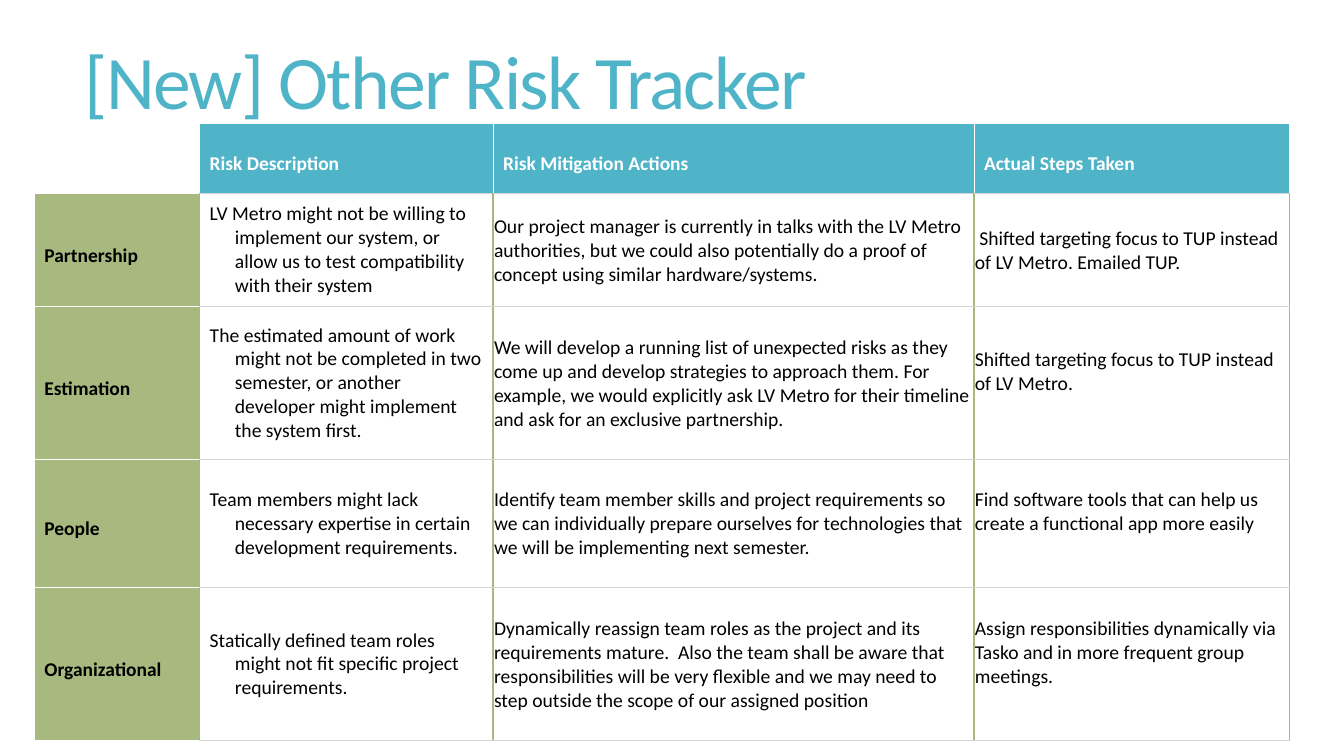
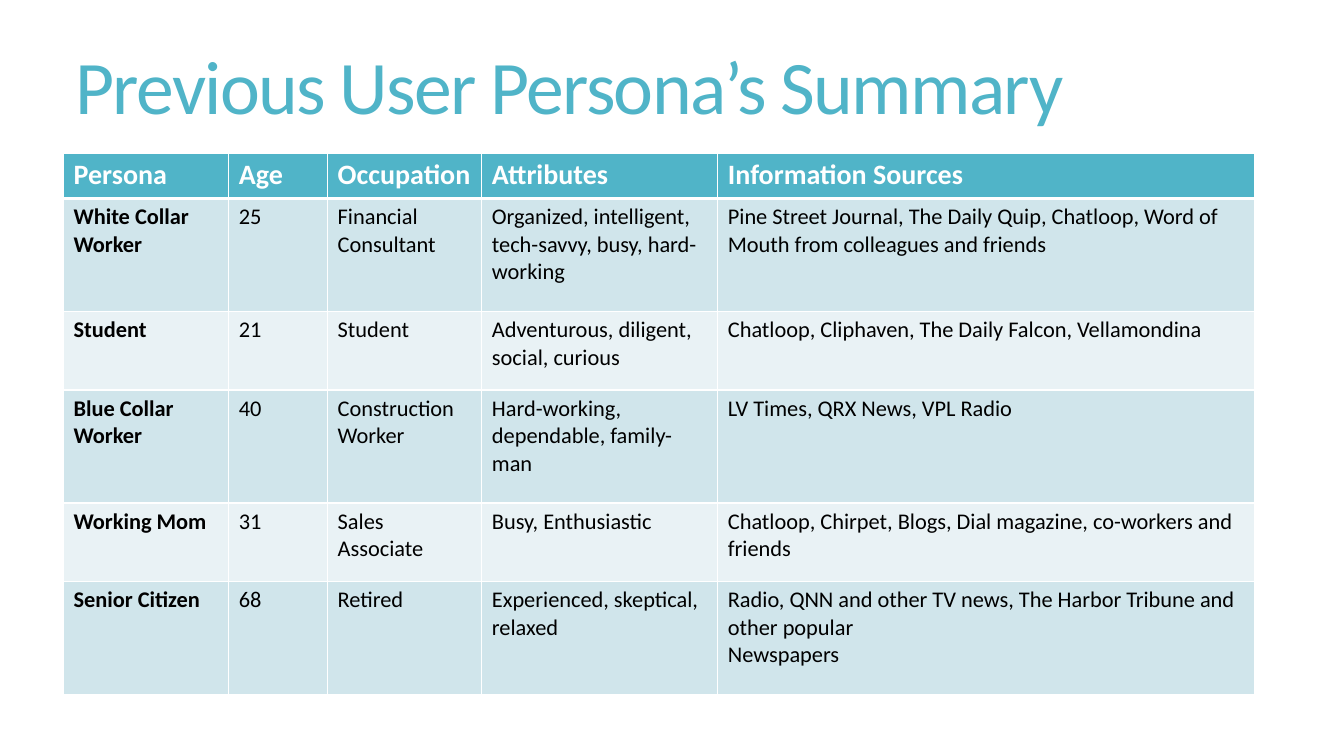
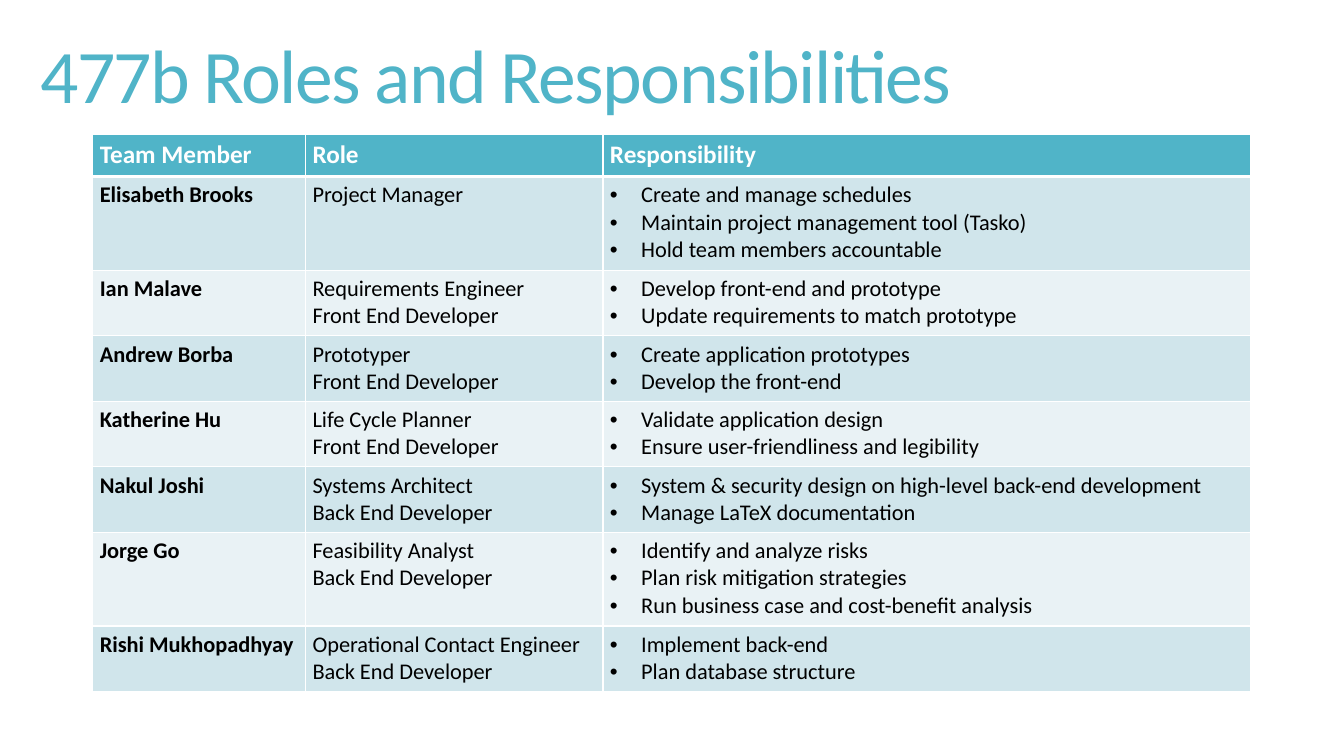
import pptx
import pptx.dml.color
import pptx.enum.text
import pptx.oxml
import pptx.oxml.ns
import pptx.util
from pptx.util import Inches

COLORS = {
    "teal": "50B4C8", "green": "A8B97F", "white": "FFFFFF", "black": "000000",
    "grey": "D4D4D4", "band_dark": "D0E5EB", "band_light": "E9F2F5",
}
FONT = "Calibri"
NAMESPACE = pptx.oxml.ns.nsdecls("a")
MIDDLE = pptx.enum.text.MSO_ANCHOR.MIDDLE
TOP = pptx.enum.text.MSO_ANCHOR.TOP

presentation = pptx.Presentation()
presentation.slide_width = Inches(13.33)
presentation.slide_height = Inches(7.5)


def add_table_slide(title, title_box, table_box, columns, rows):
    """Add a slide with the shared title style and return its empty table."""
    slide = presentation.slides.add_slide(presentation.slide_layouts[5])
    shape = slide.shapes.title
    shape.left, shape.top, shape.width, shape.height = map(Inches, title_box)
    frame = shape.text_frame
    frame.text = title
    frame.vertical_anchor = MIDDLE
    frame.auto_size = pptx.enum.text.MSO_AUTO_SIZE.NONE
    paragraph = frame.paragraphs[0]
    paragraph.alignment = pptx.enum.text.PP_ALIGN.LEFT
    paragraph.line_spacing = 0.85
    paragraph.font.name = FONT
    paragraph.font.size = pptx.util.Pt(54)
    paragraph.font.color.rgb = pptx.dml.color.RGBColor.from_string(COLORS["teal"])
    paragraph.runs[0]._r.get_or_add_rPr().set("spc", "-120")

    left, top = table_box
    table = slide.shapes.add_table(
        len(rows), len(columns), Inches(left), Inches(top),
        Inches(sum(columns)), Inches(sum(rows))).table
    table.first_row = table.horz_banding = False
    for column, width in zip(table.columns, columns):
        column.width = Inches(width)
    for row, height in zip(table.rows, rows):
        row.height = Inches(height)
    return table


def write_cell(cell, text, size, color="black", bold=False, fill=None, anchor=TOP,
               insets=(0.1, 0.05, 0.1, 0.05), borders=None, spacing=None,
               indent=0, bullet=False, lowered=False):
    """Fill one cell; borders maps L, R, T, B to (colour, points), spacing is in percent."""
    cell.text = text
    cell.vertical_anchor = anchor
    cell.margin_left, cell.margin_top, cell.margin_right, cell.margin_bottom = map(Inches, insets)
    for paragraph in cell.text_frame.paragraphs:
        font = paragraph.font
        font.name, font.size, font.bold = FONT, pptx.util.Pt(size), bold
        font.color.rgb = pptx.dml.color.RGBColor.from_string(COLORS[color])
        properties = paragraph._p.get_or_add_pPr()
        defaults = properties.find(pptx.oxml.ns.qn("a:defRPr"))
        if indent:
            properties.set("marL", str(Inches(indent)))
            properties.set("indent", str(-Inches(indent)))
        if spacing:
            for tag, percent in zip(("spcBef", "spcAft"), spacing):
                defaults.addprevious(pptx.oxml.parse_xml(
                    f'<a:{tag} {NAMESPACE}><a:spcPct val="{percent * 1000}"/></a:{tag}>'))
        if bullet:
            for mark in ('buFont {} typeface="Arial"', 'buChar {} char="•"'):
                defaults.addprevious(pptx.oxml.parse_xml(f"<a:{mark.format(NAMESPACE)}/>"))
        if lowered:
            for run in paragraph.runs:
                run._r.get_or_add_rPr().set("baseline", "-3000")
    if fill:
        cell.fill.solid()
        cell.fill.fore_color.rgb = pptx.dml.color.RGBColor.from_string(COLORS[fill])
    else:
        cell.fill.background()
    for position, (side, (line_color, points)) in enumerate((borders or {}).items()):
        cell._tc.get_or_add_tcPr().insert(position, pptx.oxml.parse_xml(
            f'<a:ln{side} {NAMESPACE} w="{pptx.util.Pt(points)}"><a:solidFill>'
            f'<a:srgbClr val="{COLORS[line_color]}"/></a:solidFill></a:ln{side}>'))


# Risk tracker
risk_header = ["Risk Description", "Risk Mitigation Actions", "Actual Steps Taken"]
risks = [
    ("Partnership",
     "LV Metro might not be willing to implement our system, or allow us to test "
     "compatibility with their system",
     "Our project manager is currently in talks with the LV Metro authorities, but we could "
     "also potentially do a proof of concept using similar hardware/systems.",
     " Shifted targeting focus to TUP instead of LV Metro. Emailed TUP."),
    ("Estimation",
     "The estimated amount of work might not be completed in two semester, or another "
     "developer might implement the system first.",
     "We will develop a running list of unexpected risks as they come up and develop "
     "strategies to approach them. For example, we would explicitly ask LV Metro for their "
     "timeline and ask for an exclusive partnership.",
     "Shifted targeting focus to TUP instead of LV Metro."),
    ("People",
     "Team members might lack necessary expertise in certain development requirements.",
     "Identify team member skills and project requirements so we can individually prepare "
     "ourselves for technologies that we will be implementing next semester.",
     "Find software tools that can help us create a functional app more easily"),
    ("Organizational",
     "Statically defined team roles might not fit specific project requirements.",
     "Dynamically reassign team roles as the project and its requirements mature.  Also the "
     "team shall be aware that responsibilities will be very flexible and we may need to step "
     "outside the scope of our assigned position",
     "Assign responsibilities dynamically via Tasko and in more frequent group meetings."),
]
table = add_table_slide("[New] Other Risk Tracker", (0.74, 0.2, 11.78, 1.32), (0.34, 1.22),
                        [1.64, 2.91, 4.77, 3.13], [0.7, 1.12, 1.52, 1.27, 1.52])
white_borders = {side: ("white", 0.5) for side in "LRTB"}
body_borders = {"L": ("green", 1), "R": ("green", 1), "T": ("grey", 0.5), "B": ("grey", 0.5)}
label_style = dict(size=24, bold=True, anchor=MIDDLE, spacing=(60, 40), lowered=True,
                   borders=white_borders)
write_cell(table.cell(0, 0), "", 14, fill="white", borders=white_borders)
for column, heading in enumerate(risk_header, 1):
    write_cell(table.cell(0, column), heading, color="white", fill="teal", **label_style)
for row, (category, description, mitigation, steps) in enumerate(risks, 1):
    write_cell(table.cell(row, 0), category, fill="green", **label_style)
    write_cell(table.cell(row, 1), description, 14, anchor=MIDDLE, indent=0.25,
               spacing=(10, 10), borders=body_borders)
    write_cell(table.cell(row, 2), mitigation, 14, anchor=MIDDLE,
               insets=(0.01, 0.01, 0.01, 0), borders=body_borders)
    write_cell(table.cell(row, 3), steps, 14, anchor=MIDDLE, borders=body_borders,
               insets=(0.01, 0.01, 0.01, 0 if row == 1 else 0.24))

# Personas and roles share one banded table style
personas = [
    ("Persona", "Age", "Occupation", "Attributes", "Information Sources"),
    ("White Collar Worker", "25", "Financial Consultant",
     "Organized, intelligent, tech-savvy, busy, hard-working",
     "Pine Street Journal, The Daily Quip, Chatloop, Word of Mouth from colleagues and friends"),
    ("Student", "21", "Student", "Adventurous, diligent, social, curious",
     "Chatloop, Cliphaven, The Daily Falcon, Vellamondina"),
    ("Blue Collar Worker", "40", "Construction Worker", "Hard-working, dependable, family-man",
     "LV Times, QRX News, VPL Radio"),
    ("Working Mom", "31", "Sales Associate", "Busy, Enthusiastic",
     "Chatloop, Chirpet, Blogs, Dial magazine, co-workers and friends"),
    ("Senior Citizen", "68", "Retired", "Experienced, skeptical, relaxed",
     "Radio, QNN and other TV news, The Harbor Tribune and other popular\nNewspapers"),
]
roles = [
    ("Team Member", "Role", "Responsibility"),
    ("Elisabeth Brooks", "Project Manager",
     "Create and manage schedules\nMaintain project management tool (Tasko)\n"
     "Hold team members accountable"),
    ("Ian Malave", "Requirements Engineer\nFront End Developer",
     "Develop front-end and prototype\nUpdate requirements to match prototype"),
    ("Andrew Borba", "Prototyper\nFront End Developer",
     "Create application prototypes\nDevelop the front-end"),
    ("Katherine Hu", "Life Cycle Planner\nFront End Developer",
     "Validate application design\nEnsure user-friendliness and legibility"),
    ("Nakul Joshi", "Systems Architect\nBack End Developer",
     "System & security design on high-level back-end development\n"
     "Manage LaTeX documentation"),
    ("Jorge Go", "Feasibility Analyst\nBack End Developer",
     "Identify and analyze risks\nPlan risk mitigation strategies\n"
     "Run business case and cost-benefit analysis"),
    ("Rishi Mukhopadhyay", "Operational Contact Engineer\nBack End Developer",
     "Implement back-end\nPlan database structure"),
]
persona_table = add_table_slide(
    "Previous User Persona’s Summary", (0.65, 0, 11.78, 1.81), (0.63, 1.52),
    [1.64, 0.98, 1.53, 2.34, 5.32], [0.45, 1.12, 0.78, 1.12, 0.78, 1.12])
role_table = add_table_slide(
    "477b Roles and Responsibilities", (0.3, 0, 11.78, 1.6), (0.92, 1.33),
    [2.11, 2.95, 6.42], [0.42, 0.93, 0.65, 0.65, 0.65, 0.65, 0.93, 0.65])

for table, records, header_size, side_inset, bullet_column in (
        (persona_table, personas, 20, 0.1, None), (role_table, roles, 18, 0.07, 2)):
    for row, record in enumerate(records):
        is_header = row == 0
        borders = {side: ("white", 1) for side in "LRTB"}
        if is_header:
            borders["B"] = ("white", 3)
        elif row == 1:
            borders["T"] = ("white", 3)
        band = "band_dark" if row % 2 else "band_light"
        for column, text in enumerate(record):
            bullet = column == bullet_column and not is_header
            write_cell(table.cell(row, column), text,
                       size=header_size if is_header else 16,
                       color="white" if is_header else "black",
                       bold=is_header or column == 0,
                       fill="teal" if is_header else band,
                       insets=(side_inset, 0.05, side_inset, 0.05), borders=borders,
                       indent=0.31 if bullet else 0, bullet=bullet)

presentation.save("out.pptx")
